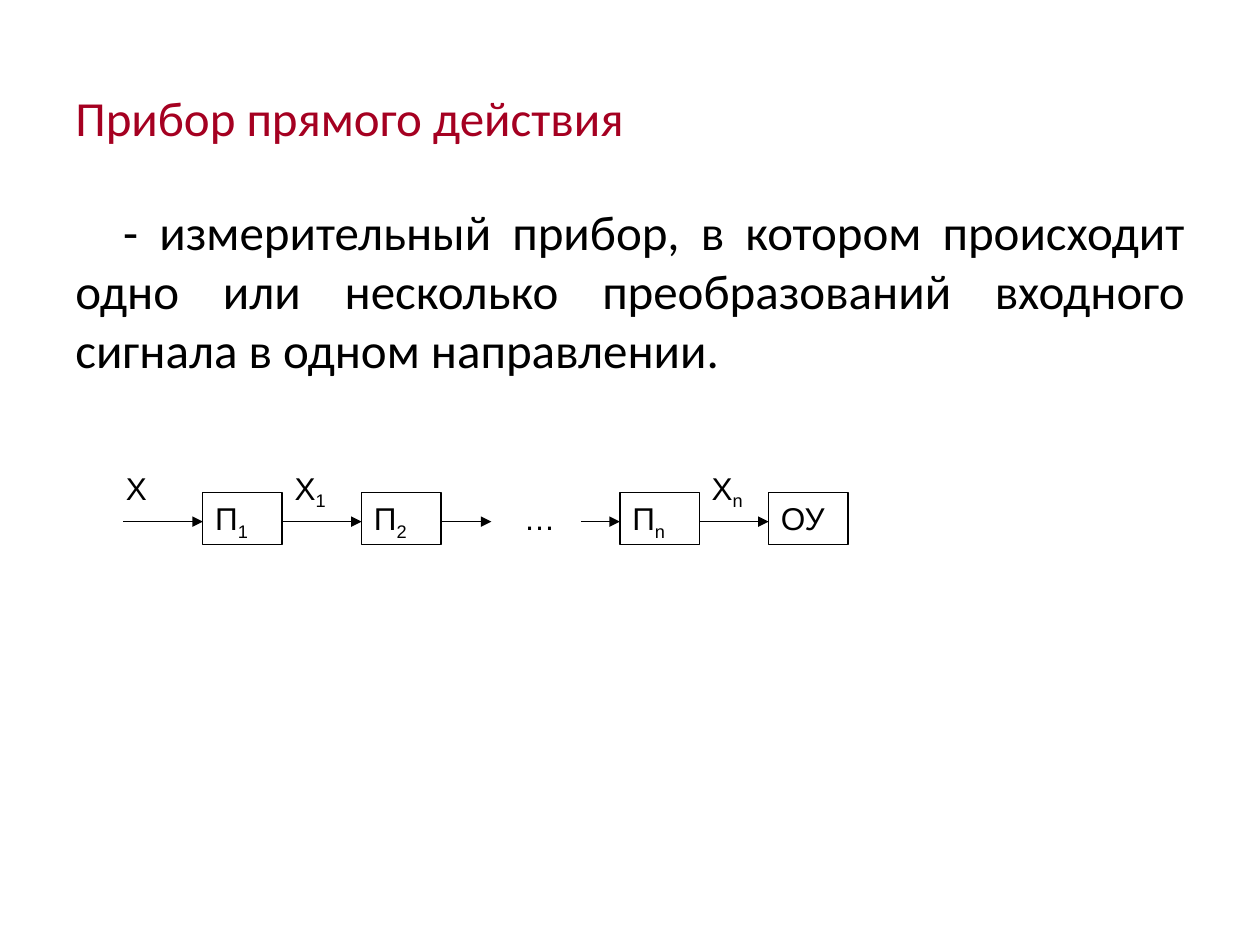
import pptx
import pptx.util
import pptx.dml.color
import pptx.enum.shapes
import pptx.enum.text
import pptx.oxml.ns
import lxml.etree
from dataclasses import dataclass
from pptx.util import Inches


@dataclass(frozen=True)
class Theme:
    heading: str = "A50021"
    ink: str = "000000"
    text_font: str = "Calibri"
    diagram_font: str = "Arial"
    text_size: int = 28
    diagram_size: int = 18
    line_width: float = 0.75


THEME = Theme()


def format_run(run, font, size, color):
    run.font.name = font
    run.font.size = pptx.util.Pt(size)
    run.font.color.rgb = pptx.dml.color.RGBColor.from_string(color)


def add_text(slide, left, top, width, height, text, color):
    shape = slide.shapes.add_textbox(Inches(left), Inches(top), Inches(width), Inches(height))
    shape.text_frame.word_wrap = True
    paragraph = shape.text_frame.paragraphs[0]
    paragraph.text = text
    format_run(paragraph.runs[0], THEME.text_font, THEME.text_size, color)
    return shape


def add_heading(slide, left, top, width, height, text):
    shape = add_text(slide, left, top, width, height, text, THEME.heading)
    shape.text_frame.vertical_anchor = pptx.enum.text.MSO_ANCHOR.MIDDLE


def add_definition(slide, left, top, width, height, text):
    shape = add_text(slide, left, top, width, height, text, THEME.ink)
    paragraph = shape.text_frame.paragraphs[0]
    paragraph.alignment = pptx.enum.text.PP_ALIGN.JUSTIFY
    properties = paragraph._p.get_or_add_pPr()
    properties.set("marL", "0")
    properties.set("indent", str(Inches(0.38)))


def write_symbol(shape, symbol, subscript):
    text_frame = shape.text_frame
    text_frame.word_wrap = True
    text_frame.vertical_anchor = pptx.enum.text.MSO_ANCHOR.TOP
    paragraph = text_frame.paragraphs[0]
    paragraph.alignment = pptx.enum.text.PP_ALIGN.LEFT
    paragraph.text = symbol
    if subscript:
        run = paragraph.add_run()
        run.text = subscript
        run.font._element.set("baseline", "-25000")
    for run in paragraph.runs:
        format_run(run, THEME.diagram_font, THEME.diagram_size, THEME.ink)


def style_line(line):
    line.color.rgb = pptx.dml.color.RGBColor.from_string(THEME.ink)
    line.width = pptx.util.Pt(THEME.line_width)


def add_block(slide, left, top, width, height, symbol, subscript):
    shape = slide.shapes.add_shape(
        pptx.enum.shapes.MSO_SHAPE.RECTANGLE,
        Inches(left), Inches(top), Inches(width), Inches(height))
    shape.shadow.inherit = False
    shape.fill.background()
    style_line(shape.line)
    write_symbol(shape, symbol, subscript)


def add_arrow(slide, start, end, y):
    arrow = slide.shapes.add_connector(
        pptx.enum.shapes.MSO_CONNECTOR.STRAIGHT,
        Inches(start), Inches(y), Inches(end), Inches(y))
    style_line(arrow.line)
    tail = lxml.etree.SubElement(arrow.line._get_or_add_ln(), pptx.oxml.ns.qn("a:tailEnd"))
    tail.set("type", "triangle")
    lxml.etree.SubElement(arrow._element.spPr, pptx.oxml.ns.qn("a:effectLst"))


def add_signal_chain(slide, left, top):
    block_width, block_height, block_top = 0.63, 0.41, top + 0.24
    blocks = [(0.71, "П", "1"), (1.97, "П", "2"), (4.02, "П", "n"), (5.2, "ОУ", "")]
    for offset, symbol, subscript in blocks:
        add_block(slide, left + offset, block_top, block_width, block_height, symbol, subscript)

    first, second, last, output = [left + block[0] for block in blocks]
    arrows = [
        (first - block_width, first),
        (first + block_width, second),
        (second + block_width, second + block_width + 0.4),
        (last - 0.31, last),
        (last + block_width, output),
    ]
    for start, end in arrows:
        add_arrow(slide, start, end, top + 0.47)

    labels = [
        (left, top, 0.55, "Х", ""),
        (first + block_width, top, 0.55, "Х", "1"),
        (last + block_width, top, 0.55, "Х", "n"),
        (left + 3.16, block_top, 0.39, "…", ""),
    ]
    for label_left, label_top, width, symbol, subscript in labels:
        label = slide.shapes.add_textbox(
            Inches(label_left), Inches(label_top), Inches(width), Inches(0.4))
        write_symbol(label, symbol, subscript)


presentation = pptx.Presentation()
presentation.slide_width = Inches(10)
presentation.slide_height = Inches(7.5)
slide = presentation.slides.add_slide(presentation.slide_layouts[6])
add_heading(slide, 0.5, 0.3, 9, 1.25, "Прибор прямого действия")
add_definition(
    slide, 0.5, 1.55, 9, 5.15,
    "- измерительный прибор, в котором происходит одно или несколько "
    "преобразований входного сигнала в одном направлении.")
add_signal_chain(slide, 0.9, 3.67)
presentation.save("out.pptx")
